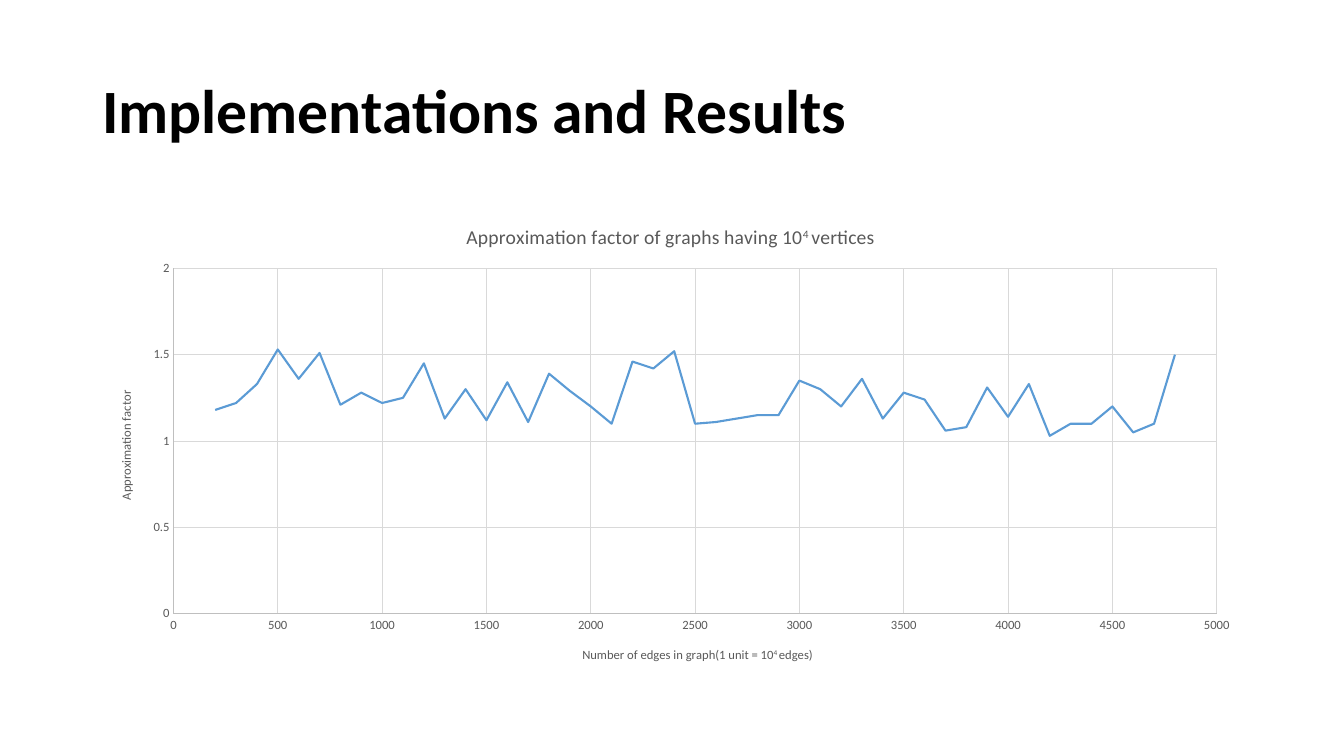
from dataclasses import dataclass

from lxml.etree import SubElement
from pptx import Presentation
from pptx.chart.data import XyChartData
from pptx.dml.color import RGBColor as Color
from pptx.enum.chart import XL_CHART_TYPE as ChartType, XL_TICK_MARK as TickMark
from pptx.enum.text import MSO_ANCHOR as Anchor
from pptx.oxml.ns import qn
from pptx.util import Pt


@dataclass(frozen=True)
class Theme:
    font: str = "Calibri"
    heading: Color = Color(0x00, 0x00, 0x00)
    label: Color = Color(0x59, 0x59, 0x59)
    axis: Color = Color(0xBF, 0xBF, 0xBF)
    grid: Color = Color(0xD9, 0xD9, 0xD9)
    curve: Color = Color(0x5B, 0x9B, 0xD5)
    heading_size: float = 44
    title_size: float = 14
    label_size: float = 9
    rule_width: float = 0.75
    curve_width: float = 1.5


@dataclass(frozen=True)
class Piece:
    text: str
    raised: bool = False


@dataclass(frozen=True)
class Caption:
    pieces: tuple[Piece, ...]
    size: float
    left: float
    top: float
    rotation: int = 0


@dataclass(frozen=True)
class AxisStyle:
    maximum: float
    step: float
    caption: Caption


THEME = Theme()
LEFT, WIDTH = 66, 828

CHART_CAPTION = Caption(
    (Piece("Approximation factor of graphs having 10"), Piece("4 ", True), Piece("vertices")),
    THEME.title_size, 0.32, 0.04)
EDGE_AXIS = AxisStyle(5000, 500, Caption(
    (Piece("Number of edges in graph(1 unit = 10"), Piece("4 ", True), Piece("edges)")),
    THEME.label_size, 0.42, 0.92))
FACTOR_AXIS = AxisStyle(2, 0.5, Caption(
    (Piece("Approximation factor"),), THEME.label_size, 0.02, 0.39, -90))

EDGES = [edges for edges in range(200, 4801, 100) if edges != 2700]
FACTORS = [
    1.18, 1.22, 1.33, 1.53, 1.36, 1.51, 1.21, 1.28, 1.22, 1.25, 1.45, 1.13,
    1.3, 1.12, 1.34, 1.11, 1.39, 1.29, 1.2, 1.1, 1.46, 1.42, 1.52, 1.1,
    1.11, 1.15, 1.15, 1.35, 1.3, 1.2, 1.36, 1.13, 1.28, 1.24, 1.06, 1.08,
    1.31, 1.14, 1.33, 1.03, 1.1, 1.1, 1.2, 1.05, 1.1, 1.5,
]


def style_font(font, size: float, color: Color, bold: bool = False) -> None:
    for name, value in {"name": THEME.font, "size": Pt(size), "bold": bold}.items():
        setattr(font, name, value)
    font.color.rgb = color


def style_line(line, color: Color, width: float) -> None:
    line.color.rgb = color
    line.width = Pt(width)


def set_layout(element, index: int, values: dict[str, object]) -> None:
    """Give a chart part a manual layout, as fractions of the chart."""
    for old in element.findall(qn("c:layout")):
        element.remove(old)
    layout = SubElement(element, qn("c:layout"))
    element.insert(index, layout)
    manual = SubElement(layout, qn("c:manualLayout"))
    for name, value in values.items():
        SubElement(manual, qn(f"c:{name}")).set("val", str(value))


def write_caption(title, caption: Caption) -> None:
    para = title.text_frame.paragraphs[0]
    style_font(para.font, caption.size, THEME.label)
    for piece in caption.pieces:
        run = para.add_run()
        run.text = piece.text
        style_font(run.font, caption.size, THEME.label)
        if piece.raised:
            run._r.get_or_add_rPr().set("baseline", "30000")
    element = title._element
    body = element.find(f".//{qn('a:bodyPr')}")
    body.set("rot", str(caption.rotation * 60000))
    body.set("vert", "horz")
    set_layout(element, 1, {"xMode": "edge", "yMode": "edge",
                            "x": caption.left, "y": caption.top})


def style_axis(axis, style: AxisStyle) -> None:
    settings = {
        "minimum_scale": 0,
        "maximum_scale": style.maximum,
        "major_unit": style.step,
        "major_tick_mark": TickMark.NONE,
        "minor_tick_mark": TickMark.NONE,
        "has_major_gridlines": True,
    }
    for name, value in settings.items():
        setattr(axis, name, value)
    style_line(axis.format.line, THEME.axis, THEME.rule_width)
    style_line(axis.major_gridlines.format.line, THEME.grid, THEME.rule_width)
    style_font(axis.tick_labels.font, THEME.label_size, THEME.label)
    axis.tick_labels.number_format = "General"
    axis.tick_labels.number_format_is_linked = False
    write_caption(axis.axis_title, style.caption)


def add_heading(slide, text: str) -> None:
    box = slide.shapes.add_textbox(Pt(LEFT), Pt(28.75), Pt(WIDTH), Pt(104.5))
    frame = box.text_frame
    frame.word_wrap = True
    frame.vertical_anchor = Anchor.MIDDLE
    para = frame.paragraphs[0]
    para.line_spacing = 0.9
    run = para.add_run()
    run.text = text
    style_font(run.font, THEME.heading_size, THEME.heading, bold=True)


def add_factor_chart(slide) -> None:
    data = XyChartData()
    points = data.add_series("Series 1")
    for edges, factor in zip(EDGES, FACTORS):
        points.add_data_point(edges, factor)
    chart = slide.shapes.add_chart(
        ChartType.XY_SCATTER_SMOOTH_NO_MARKERS,
        Pt(LEFT), Pt(143.75), Pt(WIDTH), Pt(342.63), data).chart
    chart.has_legend = False
    style_font(chart.font, THEME.label_size, THEME.label)
    write_caption(chart.chart_title, CHART_CAPTION)
    style_axis(chart.category_axis, EDGE_AXIS)
    style_axis(chart.value_axis, FACTOR_AXIS)

    plot = chart.plots[0]
    plot.vary_by_categories = False
    curve = plot.series[0]
    curve.smooth = True
    style_line(curve.format.line, THEME.curve, THEME.curve_width)
    area = chart._chartSpace.find(f".//{qn('c:plotArea')}")
    set_layout(area, 0, {"layoutTarget": "inner", "xMode": "edge", "yMode": "edge",
                         "x": 0.07, "y": 0.14, "w": 0.9, "h": 0.72})


def main() -> None:
    deck = Presentation()
    deck.slide_width, deck.slide_height = Pt(960), Pt(540)
    page = deck.slides.add_slide(deck.slide_layouts[6])
    add_heading(page, "Implementations and Results")
    add_factor_chart(page)
    deck.save("out.pptx")


if __name__ == "__main__":
    main()
